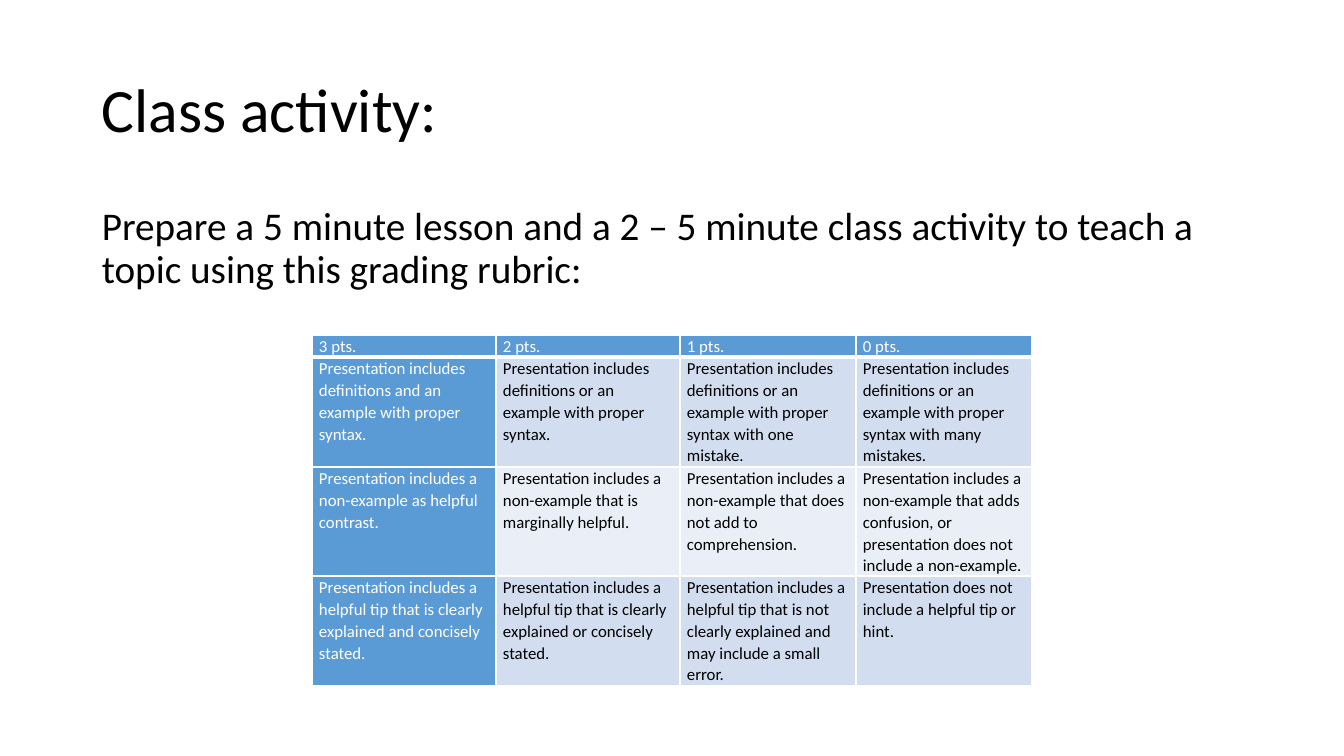
from lxml import etree
from pptx import Presentation
from pptx.dml.color import RGBColor
from pptx.enum.text import MSO_ANCHOR
from pptx.oxml.ns import qn
from pptx.util import Pt

TOP = MSO_ANCHOR.TOP
MIDDLE = MSO_ANCHOR.MIDDLE
PX = 914400 / 100.8
FONT = "Calibri"
COLORS = {
    "black": "000000",
    "white": "FFFFFF",
    "header": "5B9BD5",
    "band_dark": "D2DEEF",
    "band_light": "EAEFF7",
}

# Grading rubric: a header row, then one criterion per row
RUBRIC = [
    ["3 pts.", "2 pts.", "1 pts.", "0 pts."],
    [
        "Presentation includes definitions and an example with proper syntax.",
        "Presentation includes definitions or an example with proper syntax.",
        "Presentation includes definitions or an example with proper syntax with one mistake.",
        "Presentation includes definitions or an example with proper syntax with many mistakes.",
    ],
    [
        "Presentation includes a non-example as helpful contrast.",
        "Presentation includes a non-example that is marginally helpful.",
        "Presentation includes a non-example that does not add to comprehension.",
        "Presentation includes a non-example that adds confusion, or presentation "
        "does not include a non-example.",
    ],
    [
        "Presentation includes a helpful tip that is clearly explained and concisely stated.",
        "Presentation includes a helpful tip that is clearly explained or concisely stated.",
        "Presentation includes a helpful tip that is not clearly explained and may "
        "include a small error.",
        "Presentation does not include a helpful tip or hint.",
    ],
]
COLUMN_WIDTHS = [184, 184, 176, 176]
ROW_HEIGHTS = [22, 110, 109, 110]


def px(length):
    return round(length * PX)


def write_text(text_frame, text, size=12, color="black", spacing=1.0):
    paragraph = text_frame.paragraphs[0]
    paragraph.line_spacing = spacing
    run = paragraph.add_run()
    run.text = text
    run.font.name = FONT
    run.font.size = Pt(size)
    run.font.bold = False
    run.font.color.rgb = RGBColor.from_string(COLORS[color])


def add_text_box(slide, left, top, width, height, text, anchor=TOP, **text_format):
    shape = slide.shapes.add_textbox(px(left), px(top), px(width), px(height))
    shape.text_frame.word_wrap = True
    shape.text_frame.vertical_anchor = anchor
    write_text(shape.text_frame, text, **text_format)


def set_borders(cell, bottom_width):
    properties = cell._tc.get_or_add_tcPr()
    widths = {"a:lnL": 1, "a:lnR": 1, "a:lnT": 1, "a:lnB": bottom_width}
    for position, (tag, width) in enumerate(widths.items()):
        line = etree.Element(qn(tag), w=str(Pt(width)))
        fill = etree.SubElement(line, qn("a:solidFill"))
        etree.SubElement(fill, qn("a:srgbClr"), val=COLORS["white"])
        properties.insert(position, line)


def format_cell(cell, text, fill, color, bottom_width):
    cell.margin_left = cell.margin_right = px(7)
    cell.margin_top = cell.margin_bottom = 0
    cell.fill.solid()
    cell.fill.fore_color.rgb = RGBColor.from_string(COLORS[fill])
    set_borders(cell, bottom_width)
    write_text(cell.text_frame, text, color=color, spacing=1.07)


def add_rubric(slide, left, top):
    table = slide.shapes.add_table(
        len(RUBRIC), len(COLUMN_WIDTHS), px(left), px(top),
        px(sum(COLUMN_WIDTHS)), px(sum(ROW_HEIGHTS)),
    ).table
    for column, width in zip(table.columns, COLUMN_WIDTHS):
        column.width = px(width)
    for row_index, texts in enumerate(RUBRIC):
        table.rows[row_index].height = px(ROW_HEIGHTS[row_index])
        band = "band_dark" if row_index % 2 else "band_light"
        for column_index, text in enumerate(texts):
            is_header = row_index == 0 or column_index == 0
            format_cell(
                table.cell(row_index, column_index), text,
                fill="header" if is_header else band,
                color="white" if is_header else "black",
                bottom_width=3 if row_index == 0 else 1,
            )


def main():
    presentation = Presentation()
    presentation.slide_width = px(1344)
    presentation.slide_height = px(756)
    slide = presentation.slides.add_slide(presentation.slide_layouts[6])

    # Title and assignment
    add_text_box(slide, 92, 40, 1160, 146, "Class activity:",
                 anchor=MIDDLE, size=44, spacing=0.9)
    add_text_box(slide, 92, 202, 1160, 100,
                 "Prepare a 5 minute lesson and a 2 – 5 minute class activity "
                 "to teach a topic using this grading rubric:",
                 size=28, spacing=0.9)

    # Rubric table
    add_rubric(slide, 312, 335)

    presentation.save("out.pptx")


if __name__ == "__main__":
    main()
